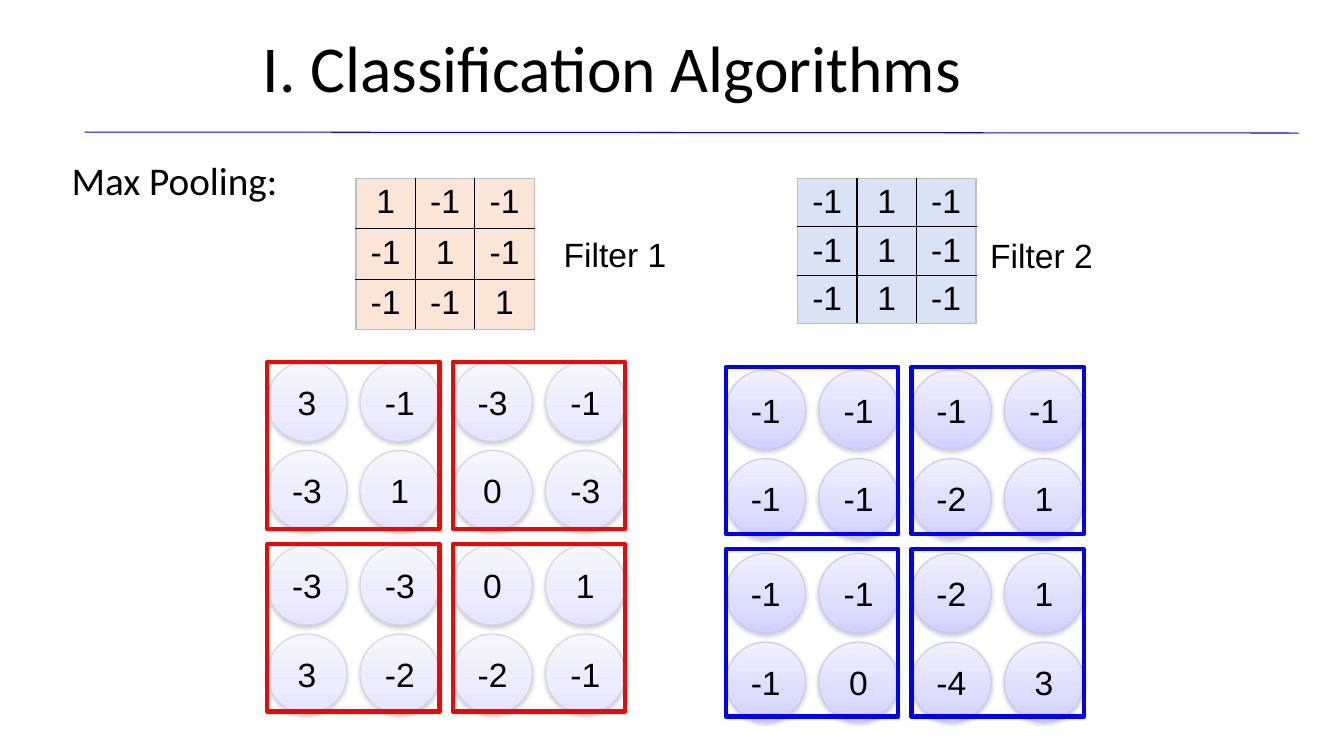
from copy import deepcopy

from lxml.etree import SubElement
from pptx import Presentation
from pptx.dml.color import RGBColor
from pptx.enum.shapes import MSO_CONNECTOR, MSO_SHAPE
from pptx.enum.text import MSO_ANCHOR, MSO_AUTO_SIZE, PP_ALIGN
from pptx.oxml.ns import qn
from pptx.util import Pt

PX = 9144  # 100 px to the inch
THEME = {
    "text": "000000", "rule": "0000FF", "shadow": "808080",
    "grid": "000000", "edge": "BFBFBF",
    "heading_font": "Calibri", "body_font": "Arial",
    "heading": 46.8, "subtitle": 28, "body": 24,
}
FILTERS = [
    {
        "label": "Filter 1", "label_at": (531, 227),
        "table_at": (353, 177), "row_height": 50, "cell": "FBE5D6",
        "weights": [[1, -1, -1], [-1, 1, -1], [-1, -1, 1]],
        "circles_at": (265, 359), "boxes_at": (265, 359), "box": "FF0000",
        "gradient": ["F7F6FF", "ECEBFF", "E5E3FF"], "outline": "D4D3E7",
        "feature_map": [[3, -1, -3, -1], [-3, 1, 0, -3],
                        [-3, -3, 0, 1], [3, -2, -2, -1]],
    },
    {
        "label": "Filter 2", "label_at": (954, 228),
        "table_at": (791, 177), "row_height": 47, "cell": "DAE3F3",
        "weights": [[-1, 1, -1], [-1, 1, -1], [-1, 1, -1]],
        "circles_at": (720, 367), "boxes_at": (720, 364), "box": "0000FF",
        "gradient": ["F0F0FF", "DDDDFF", "D0D0FF"], "outline": "C6C6FB",
        "feature_map": [[-1, -1, -1, -1], [-1, -1, -2, 1],
                        [-1, -1, -2, 1], [-1, 0, -4, 3]],
    },
]
CELL, CIRCLE, COLUMN_STEP, ROW_STEP = 59, 79, 92, 88
BOX_W, BOX_H, BOX_STEP_X, BOX_STEP_Y = 171, 166, 184, 181


def emu(*lengths):
    return [length * PX for length in lengths]


def write(tf, text, size=THEME["body"], font=THEME["body_font"],
          align=PP_ALIGN.CENTER, spacing=None, anchor=None, wrap=True):
    tf.word_wrap = wrap
    if anchor is not None:
        tf.vertical_anchor = anchor
    p = tf.paragraphs[0]
    p.alignment = align
    p.line_spacing = spacing
    r = p.add_run()
    r.text = str(text)
    r.font.size = Pt(size)
    r.font.name = font
    r.font.color.rgb = RGBColor.from_string(THEME["text"])


prs = Presentation()
prs.slide_width, prs.slide_height = emu(1333, 750)
s = prs.slides.add_slide(prs.slide_layouts[5])

title = s.shapes.title
title.left, title.top, title.width, title.height = emu(61, 155, 253, 53)
title.text_frame.auto_size = MSO_AUTO_SIZE.NONE
write(title.text_frame, "Max Pooling:", size=THEME["subtitle"],
      font=THEME["heading_font"], align=PP_ALIGN.LEFT, spacing=0.9,
      anchor=MSO_ANCHOR.MIDDLE)

for f in FILTERS:
    # Filter weights
    n = len(f["weights"])
    frame = s.shapes.add_table(
        n, n, *emu(*f["table_at"], n * CELL, n * f["row_height"]))
    table = frame.table
    table.first_row = table.horz_banding = False
    for i, weights in enumerate(f["weights"]):
        table.rows[i].height = f["row_height"] * PX
        table.columns[i].width = CELL * PX
        for j, weight in enumerate(weights):
            cell = table.cell(i, j)
            cell.margin_top, cell.margin_bottom = emu(5, 3)
            tcPr = cell._tc.get_or_add_tcPr()
            outer = {"lnL": j == 0, "lnR": j == n - 1,
                     "lnT": i == 0, "lnB": i == n - 1}
            for side, is_outer in outer.items():
                ln = SubElement(tcPr, qn(f"a:{side}"), w=str(Pt(1)))
                fill = SubElement(ln, qn("a:solidFill"))
                SubElement(fill, qn("a:srgbClr"),
                           val=THEME["edge" if is_outer else "grid"])
            cell.fill.solid()
            cell.fill.fore_color.rgb = RGBColor.from_string(f["cell"])
            write(cell.text_frame, weight)

    label = s.shapes.add_textbox(*emu(*f["label_at"], 158, 51))
    write(label.text_frame, f["label"])

    # Feature map
    left, top = f["circles_at"]
    for i, values in enumerate(f["feature_map"]):
        y = top + i * ROW_STEP + i // 2 * 6  # wider gap between the pooled halves
        for j, value in enumerate(values):
            sp = s.shapes.add_shape(
                MSO_SHAPE.OVAL, *emu(left + j * COLUMN_STEP, y, CIRCLE, CIRCLE))
            sp.fill.gradient()
            sp.fill.gradient_angle = 270
            spPr = sp._element.spPr
            stops = spPr.find(f".//{qn('a:gsLst')}")
            stops.insert(1, deepcopy(stops[0]))
            for stop, position, color in zip(
                    sp.fill.gradient_stops, (0, 0.65, 1), f["gradient"]):
                stop.position = position
                stop.color.rgb = RGBColor.from_string(color)
            sp.line.color.rgb = RGBColor.from_string(f["outline"])
            sp.line.width = Pt(0.75)
            sp.shadow.inherit = False
            shadow = SubElement(
                spPr.find(qn("a:effectLst")), qn("a:outerShdw"), blurRad="40000",
                dist="20000", dir="5400000", rotWithShape="0")
            color = SubElement(shadow, qn("a:srgbClr"), val=THEME["shadow"])
            SubElement(color, qn("a:alpha"), val="38000")
            tf = sp.text_frame
            tf.margin_left = tf.margin_right = 0
            write(tf, value, anchor=MSO_ANCHOR.MIDDLE, wrap=False)

    # Pooling windows
    left, top = f["boxes_at"]
    for i in range(2):
        for j in range(2):
            box = s.shapes.add_shape(MSO_SHAPE.RECTANGLE, *emu(
                left + j * BOX_STEP_X, top + i * BOX_STEP_Y, BOX_W, BOX_H))
            box.shadow.inherit = False
            box.fill.background()
            box.line.color.rgb = RGBColor.from_string(f["box"])
            box.line.width = Pt(3)

rule = s.shapes.add_connector(MSO_CONNECTOR.STRAIGHT, *emu(84, 131, 1288, 132))
rule.line.color.rgb = RGBColor.from_string(THEME["rule"])
rule.line.width = Pt(0.75)
SubElement(rule._element.spPr, qn("a:effectLst"))

heading = s.shapes.add_textbox(*emu(107, 33, 1000, 76))
write(heading.text_frame, "I. Classification Algorithms", size=THEME["heading"],
      font=THEME["heading_font"], spacing=0.8, anchor=MSO_ANCHOR.BOTTOM)

prs.save("out.pptx")
